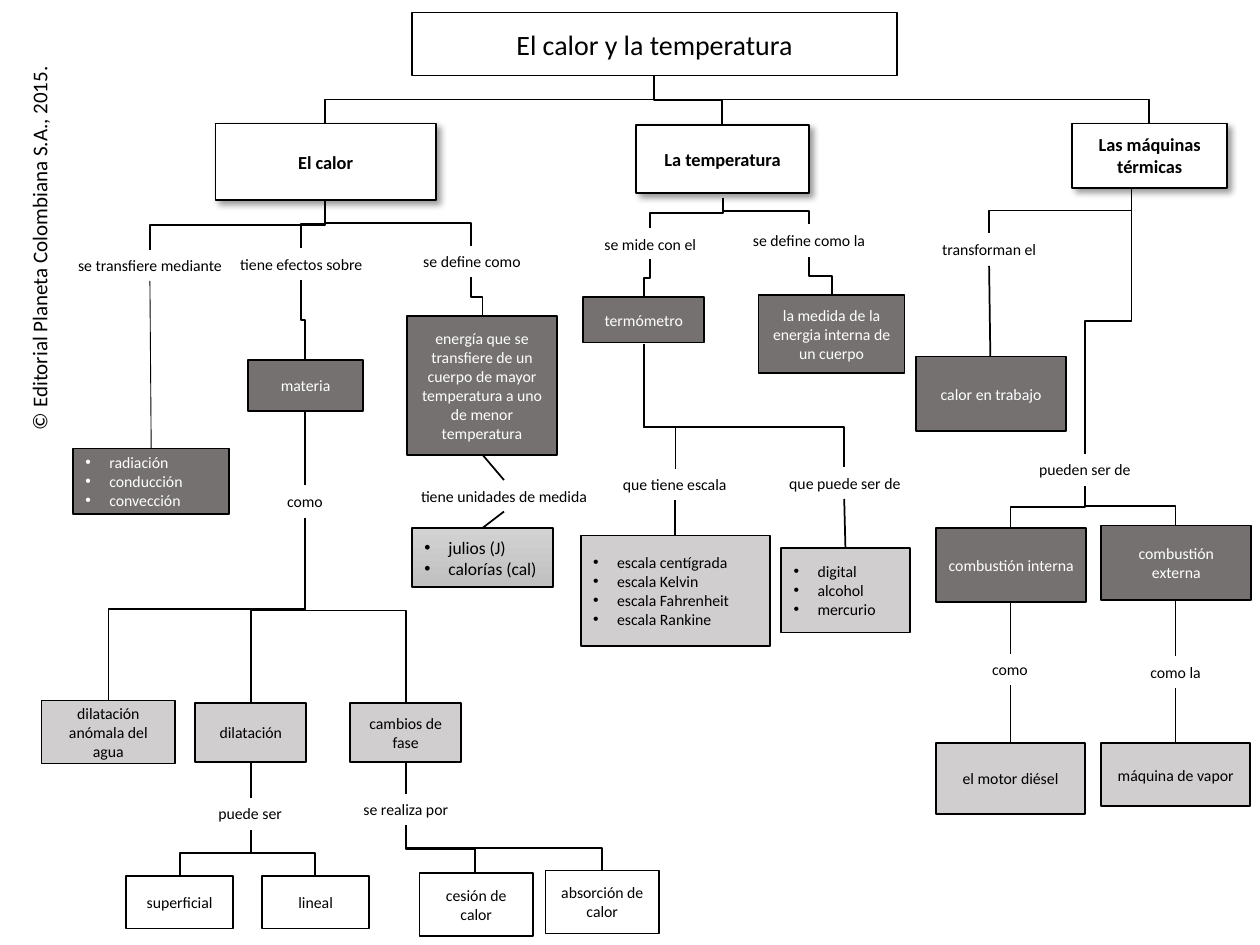
from lxml import etree
from pptx import Presentation
from pptx.dml.color import RGBColor
from pptx.enum.shapes import MSO_CONNECTOR, MSO_SHAPE
from pptx.enum.text import MSO_ANCHOR, MSO_AUTO_SIZE, PP_ALIGN
from pptx.oxml.ns import qn
from pptx.util import Inches, Pt

RECT = MSO_SHAPE.RECTANGLE
STRAIGHT, ELBOW = MSO_CONNECTOR.STRAIGHT, MSO_CONNECTOR.ELBOW
CENTER, LEFT = PP_ALIGN.CENTER, PP_ALIGN.LEFT
MIDDLE, TOP = MSO_ANCHOR.MIDDLE, MSO_ANCHOR.TOP
NO_FIT = MSO_AUTO_SIZE.NONE

THEME = {
    "font": "Calibri",
    "ink": RGBColor.from_string("000000"),
    "white": RGBColor.from_string("FFFFFF"),
    "dark": RGBColor.from_string("767171"),
    "light": RGBColor.from_string("D0CECE"),
    "gradient": [RGBColor.from_string("D2D2D2"), RGBColor.from_string("C0C0C0")],
    "title": Pt(16), "credit": Pt(12), "branch": Pt(10.5), "units": Pt(10), "body": Pt(9),
    "line": Pt(1), "thin": Pt(0.5),
}

STYLES = {
    "branch": {"fill": "white", "color": "ink", "size": "branch", "bold": True},
    "dark": {"fill": "dark", "color": "white", "size": "body", "bold": False},
    "light": {"fill": "light", "color": "ink", "size": "body", "bold": False},
    "plain": {"fill": "white", "color": "ink", "size": "body", "bold": False},
    "units": {"fill": "gradient", "color": "ink", "size": "units", "bold": False},
}


def write(sp, paragraphs, size, color="ink", bold=False, bullets=False, wrap=True, anchor=MIDDLE):
    tf = sp.text_frame
    for name, value in {"auto_size": NO_FIT, "word_wrap": wrap, "vertical_anchor": anchor}.items():
        setattr(tf, name, value)
    for i, text in enumerate(paragraphs):
        p = tf.add_paragraph() if i else tf.paragraphs[0]
        p.alignment = LEFT if bullets else CENTER
        if bullets:
            pPr = p._p.get_or_add_pPr()
            pPr.set("marL", str(Inches(0.19)))
            pPr.set("indent", str(Inches(-0.19)))
            etree.SubElement(pPr, qn("a:buFont"), typeface="Arial")
            etree.SubElement(pPr, qn("a:buChar"), char="•")
        r = p.add_run()
        r.text = text
        for name, value in {"name": THEME["font"], "size": THEME[size], "bold": bold}.items():
            setattr(r.font, name, value)
        r.font.color.rgb = THEME[color]


def connect(kind, start, end, width="line", bend=0.5):
    (x1, y1), (x2, y2) = start, end
    if kind == ELBOW:
        cx, cy = (x1 + x2) / 2, (y1 + y2) / 2
        half_w, half_h = (y2 - y1) / 2, abs(x2 - x1) / 2
        side = 1 if x2 > x1 else -1
        x1, x2 = cx + side * half_w, cx - side * half_w
        y1, y2 = cy - half_h, cy + half_h
    s = slide.shapes.add_connector(kind, Inches(x1), Inches(y1), Inches(x2), Inches(y2))
    s.line.color.rgb = THEME["ink"]
    s.line.width = THEME[width]
    spPr = s._element.spPr
    etree.SubElement(spPr, qn("a:effectLst"))
    if kind == ELBOW:
        spPr.find(qn("a:xfrm")).set("rot", str((270 if side > 0 else 90) * 60000))
        guides = spPr.find(qn("a:prstGeom")).find(qn("a:avLst"))
        etree.SubElement(guides, qn("a:gd"), name="adj1", fmla=f"val {round(bend * 100000)}")


prs = Presentation()
prs.slide_width, prs.slide_height = Inches(10), Inches(7.5)
slide = prs.slides.add_slide(prs.slide_layouts[5])

title = slide.shapes.title
for name, value in {"left": 3.27, "top": 0.1, "width": 3.85, "height": 0.5}.items():
    setattr(title, name, Inches(value))
title.fill.solid()
title.fill.fore_color.rgb = THEME["white"]
title.line.color.rgb = THEME["ink"]
title.line.width = THEME["line"]
write(title, ["El calor y la temperatura"], "title")

credit = slide.shapes.add_textbox(Inches(-1.25), Inches(1.82), Inches(3.12), Inches(0.3))
credit.rotation = 270
write(credit, ["© Editorial Planeta Colombiana S.A., 2015."], "credit", wrap=False, anchor=TOP)

trees = [
    ((5.19, 0.6), [(2.58, 0.98), (5.73, 0.99), (9.12, 0.98)], 0.5),
    ((2.58, 1.59), [(1.19, 1.98), (2.39, 1.97), (3.74, 1.95)], 0.5),
    ((5.74, 1.57), [(5.16, 1.81), (6.42, 1.78)], 0.5),
    ((8.98, 1.49), [(7.85, 1.85), (8.61, 3.6)], 0.5),
    ((2.39, 2.22), [(2.42, 2.86)], 0.5),
    ((3.74, 2.2), [(3.83, 2.51)], 0.5),
    ((5.16, 2.06), [(5.11, 2.36)], 0.5),
    ((6.42, 2.04), [(6.6, 2.34)], 0.5),
    ((5.11, 2.73), [(5.36, 3.72), (6.7, 3.71)], 0.67),
    ((8.61, 3.86), [(8.02, 4.19), (9.33, 4.17)], 0.5),
    ((2.42, 4.11), [(0.86, 5.56), (1.99, 5.58), (3.22, 5.58)], 0.5),
    ((1.99, 6.59), [(1.43, 6.95), (2.5, 6.95)], 0.5),
    ((3.22, 6.55), [(3.77, 6.93), (4.78, 6.91)], 0.5),
]
for parent, children, bend in trees:
    for child in children:
        connect(ELBOW, parent, child, bend=bend)

links = [
    ((2.42, 3.26), (2.42, 3.85)), ((3.83, 3.61), (4, 3.81)), ((4, 4.06), (3.83, 4.19)),
    ((5.36, 3.97), (5.36, 4.25)), ((6.7, 3.96), (6.71, 4.35)), ((7.85, 2.11), (7.86, 2.83)),
    ((8.02, 4.78), (8.02, 5.19)), ((8.02, 5.44), (8.02, 5.9)), ((9.33, 4.76), (9.33, 5.21)),
    ((9.33, 5.46), (9.33, 5.9)), ((1.99, 6.05), (1.99, 6.33)), ((3.22, 6.05), (3.22, 6.3)),
]
for start, end in links:
    connect(STRAIGHT, start, end)
connect(STRAIGHT, (1.19, 2.23), (1.2, 3.56), "thin")

boxes = [
    ("branch", 1.71, 0.98, 1.75, 0.61, ["El calor"]),
    ("branch", 5.05, 0.99, 1.37, 0.54, ["La temperatura"]),
    ("branch", 8.51, 0.98, 1.23, 0.51, ["Las máquinas térmicas"]),
    ("dark", 0.58, 3.56, 1.24, 0.52, ["radiación", "conducción", "convección"]),
    ("dark", 1.97, 2.86, 0.91, 0.4, ["materia"]),
    ("dark", 3.23, 2.51, 1.19, 1.1,
     ["energía que se transfiere de un cuerpo de mayor temperatura a uno de menor temperatura"]),
    ("dark", 4.63, 2.36, 0.96, 0.36, ["termómetro"]),
    ("dark", 6.02, 2.34, 1.16, 0.62, ["la medida de la energia interna de un cuerpo"]),
    ("dark", 7.27, 2.83, 1.19, 0.59, ["calor en trabajo"]),
    ("dark", 7.43, 4.19, 1.19, 0.59, ["combustión interna"]),
    ("dark", 8.74, 4.17, 1.19, 0.59, ["combustión externa"]),
    ("units", 3.27, 4.19, 1.12, 0.47, ["julios (J)", "calorías (cal)"]),
    ("light", 4.61, 4.25, 1.5, 0.88,
     ["escala centígrada", "escala Kelvin", "escala Fahrenheit", "escala Rankine"]),
    ("light", 6.2, 4.35, 1.02, 0.67, ["digital", "alcohol", "mercurio"]),
    ("light", 0.33, 5.56, 1.06, 0.5, ["dilatación anómala del agua"]),
    ("light", 1.55, 5.58, 0.88, 0.47, ["dilatación"]),
    ("light", 2.78, 5.58, 0.88, 0.47, ["cambios de fase"]),
    ("light", 7.43, 5.9, 1.18, 0.56, ["el motor diésel"]),
    ("light", 8.74, 5.9, 1.18, 0.5, ["máquina de vapor"]),
    ("plain", 1, 6.95, 0.85, 0.42, ["superficial"]),
    ("plain", 2.08, 6.95, 0.85, 0.42, ["lineal"]),
    ("plain", 3.33, 6.93, 0.9, 0.5, ["cesión de calor"]),
    ("plain", 4.33, 6.91, 0.9, 0.5, ["absorción de calor"]),
]
for kind, left, top, width, height, paragraphs in boxes:
    style = STYLES[kind]
    sp = slide.shapes.add_shape(RECT, Inches(left), Inches(top), Inches(width), Inches(height))
    sp.shadow.inherit = False
    if kind == "units":
        sp.fill.gradient()
        sp.fill.gradient_angle = 270
        for stop, color in zip(sp.fill.gradient_stops, THEME["gradient"]):
            stop.color.rgb = color
    else:
        sp.fill.solid()
        sp.fill.fore_color.rgb = THEME[style["fill"]]
    sp.line.color.rgb = THEME["ink"]
    sp.line.width = THEME["line"]
    if kind == "branch":
        effects = sp._element.spPr.find(qn("a:effectLst"))
        shadow = etree.SubElement(effects, qn("a:outerShdw"), blurRad=str(Pt(4)), dist=str(Pt(3)),
                                  dir=str(45 * 60000), algn="tl", rotWithShape="0")
        shade = etree.SubElement(shadow, qn("a:srgbClr"), val=str(THEME["ink"]))
        etree.SubElement(shade, qn("a:alpha"), val="40000")
    write(sp, paragraphs, style["size"], style["color"], style["bold"], len(paragraphs) > 1)

labels = [
    ("se transfiere mediante", 0.51, 1.98, 1.36), ("tiene efectos sobre", 1.78, 1.97, 1.22),
    ("se define como", 3.24, 1.95, 1.01), ("se mide con el", 4.69, 1.81, 0.94),
    ("se define como la", 5.87, 1.78, 1.1), ("transforman el", 7.37, 1.85, 0.96),
    ("pueden ser de", 8.13, 3.6, 0.96), ("como", 1.87, 3.85, 1.1),
    ("tiene unidades de medida", 3.22, 3.81, 1.56), ("que tiene escala", 4.84, 3.72, 1.03),
    ("que puede ser de", 6.16, 3.71, 1.09), ("como", 7.77, 5.19, 0.49),
    ("como la", 8.76, 5.21, 1.14), ("puede ser", 1.63, 6.33, 0.71),
    ("se realiza por", 2.78, 6.3, 0.88),
]
for text, left, top, width in labels:
    sp = slide.shapes.add_textbox(Inches(left), Inches(top), Inches(width), Inches(0.25))
    write(sp, [text], "body", wrap=False, anchor=TOP)

prs.save("out.pptx")
